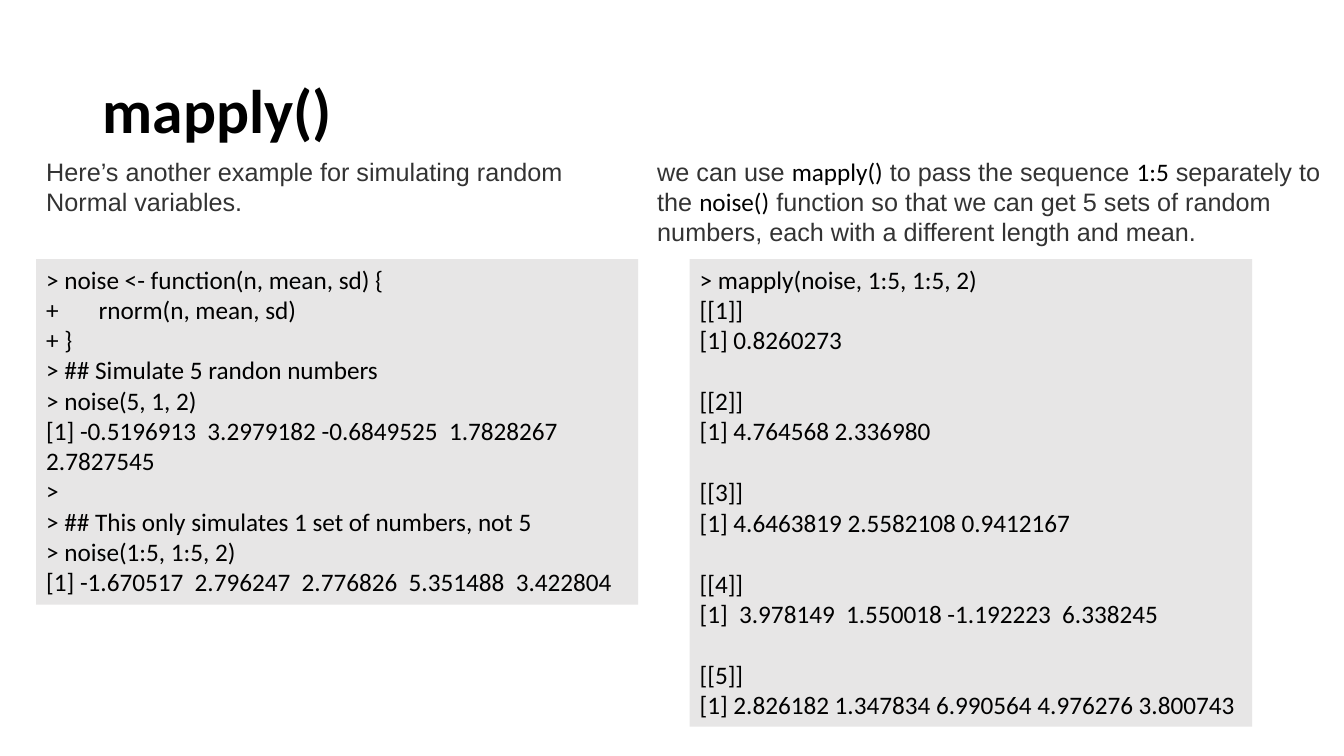
from dataclasses import dataclass

from pptx import Presentation
from pptx.dml.color import RGBColor
from pptx.enum.shapes import MSO_SHAPE
from pptx.enum.text import MSO_ANCHOR, PP_ALIGN
from pptx.util import Inches, Pt


@dataclass(frozen=True)
class Theme:
    ink: RGBColor = RGBColor(0x00, 0x00, 0x00)
    prose: RGBColor = RGBColor(0x33, 0x33, 0x33)
    panel: RGBColor = RGBColor(0xE7, 0xE6, 0xE6)
    code_font: str = "Calibri"
    prose_font: str = "Arial"
    title_size: int = 44
    body_size: int = 18
    blank_line: int = 22


class LessonSlide:
    def __init__(self, page, theme):
        self.page = page
        self.theme = theme

    def text_box(self, left, top, width, height):
        box = self.page.shapes.add_textbox(
            Inches(left), Inches(top), Inches(width), Inches(height))
        box.text_frame.word_wrap = True
        return box.text_frame

    def add_span(self, para, text, size, code=True, bold=False):
        span = para.add_run()
        span.text = text
        font = span.font
        font.size = Pt(size)
        font.bold = bold
        font.name = self.theme.code_font if code else self.theme.prose_font
        font.color.rgb = self.theme.ink if code else self.theme.prose

    def title(self, text, left, top, width, height):
        frame = self.text_box(left, top, width, height)
        frame.vertical_anchor = MSO_ANCHOR.MIDDLE
        para = frame.paragraphs[0]
        para.line_spacing = 0.9
        self.add_span(para, text, self.theme.title_size, bold=True)

    def prose(self, spans, left, top, width, height):
        """Spans alternate between prose and code, starting with prose."""
        para = self.text_box(left, top, width, height).paragraphs[0]
        for index, text in enumerate(spans):
            self.add_span(para, text, self.theme.body_size, code=index % 2 == 1)

    def code_panel(self, blocks, left, top, width, height):
        """Blocks of code lines, set one blank line apart."""
        panel = self.page.shapes.add_shape(
            MSO_SHAPE.RECTANGLE,
            Inches(left), Inches(top), Inches(width), Inches(height))
        panel.shadow.inherit = False
        panel.fill.solid()
        panel.fill.fore_color.rgb = self.theme.panel
        panel.line.fill.background()
        frame = panel.text_frame
        frame.word_wrap = True
        frame.vertical_anchor = MSO_ANCHOR.TOP
        for block_index, block in enumerate(blocks):
            for line_index, line in enumerate(block):
                first = block_index == line_index == 0
                para = frame.paragraphs[0] if first else frame.add_paragraph()
                para.alignment = PP_ALIGN.LEFT
                if block_index and line_index == 0:
                    para.space_before = Pt(self.theme.blank_line)
                self.add_span(para, line, self.theme.body_size)


NOISE_CODE = [[
    "> noise <- function(n, mean, sd) {",
    "+       rnorm(n, mean, sd)",
    "+ }",
    "> ## Simulate 5 randon numbers",
    "> noise(5, 1, 2)",
    "[1] -0.5196913  3.2979182 -0.6849525  1.7828267  2.7827545",
    ">",
    "> ## This only simulates 1 set of numbers, not 5",
    "> noise(1:5, 1:5, 2)",
    "[1] -1.670517  2.796247  2.776826  5.351488  3.422804",
]]

MAPPLY_CODE = [
    ["> mapply(noise, 1:5, 1:5, 2)", "[[1]]", "[1] 0.8260273"],
    ["[[2]]", "[1] 4.764568 2.336980"],
    ["[[3]]", "[1] 4.6463819 2.5582108 0.9412167"],
    ["[[4]]", "[1]  3.978149  1.550018 -1.192223  6.338245"],
    ["[[5]]", "[1] 2.826182 1.347834 6.990564 4.976276 3.800743"],
]


def main():
    deck = Presentation()
    deck.slide_width, deck.slide_height = Inches(13.33), Inches(7.5)
    slide = LessonSlide(deck.slides.add_slide(deck.slide_layouts[6]), Theme())

    # Heading
    slide.title("mapply()", 0.92, 0.4, 11.5, 1.45)

    # Left column: the noise function
    slide.prose(
        ["Here’s another example for simulating random Normal variables."],
        0.36, 1.5, 5.65, 0.71)
    slide.code_panel(NOISE_CODE, 0.36, 2.57, 5.97, 3.43)

    # Right column: applying it to a sequence
    slide.prose(
        ["we can use ", "mapply()", " to pass the sequence ", "1:5",
         " separately to the ", "noise()",
         " function so that we can get 5 sets of random numbers, "
         "each with a different length and mean."],
        6.42, 1.5, 6.95, 1.01)
    slide.code_panel(MAPPLY_CODE, 6.84, 2.57, 5.58, 4.64)

    deck.save("out.pptx")


if __name__ == "__main__":
    main()
